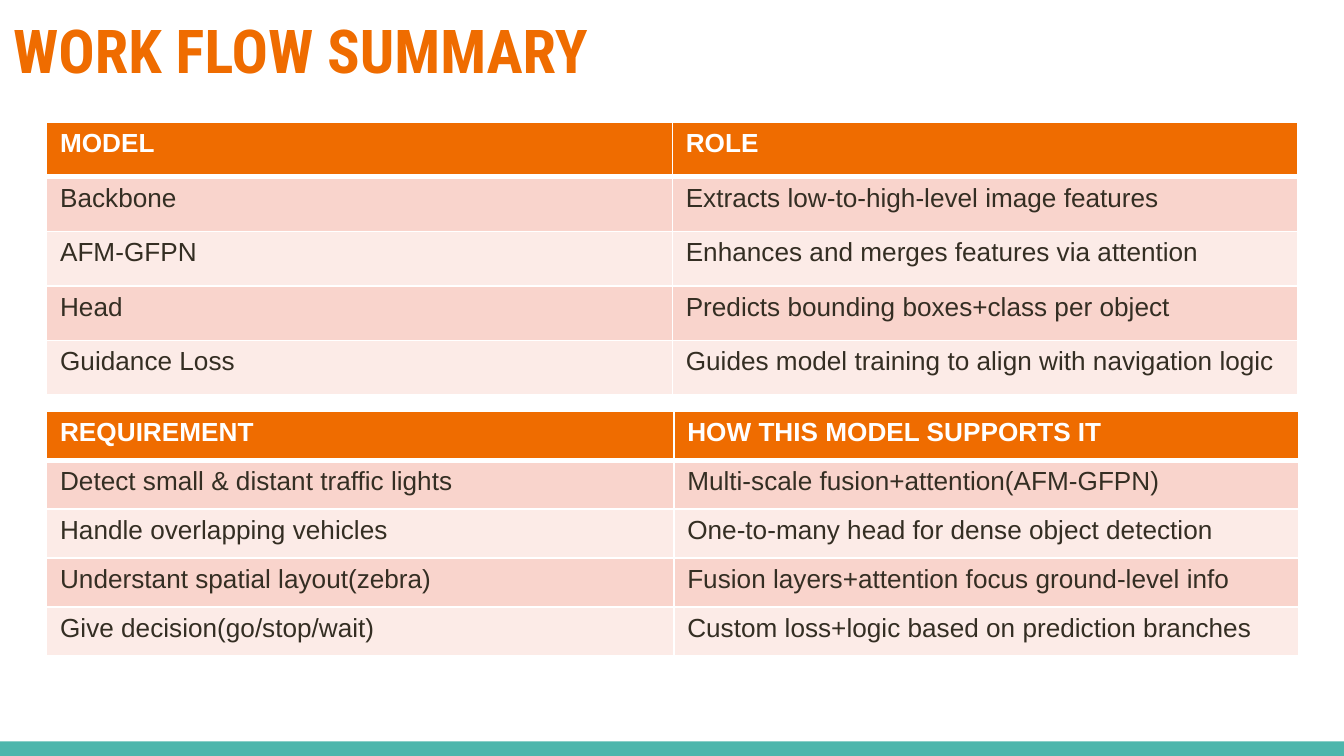
from dataclasses import dataclass

from lxml.etree import SubElement
from pptx import Presentation
from pptx.dml.color import RGBColor as RGB
from pptx.enum.shapes import MSO_SHAPE as Shape
from pptx.enum.text import MSO_ANCHOR as Anchor
from pptx.oxml.ns import qn
from pptx.slide import Slide
from pptx.table import _Cell as Cell
from pptx.util import Pt


@dataclass(frozen=True)
class Theme:
    accent: RGB = RGB(0xEF, 0x6C, 0x00)
    footer: RGB = RGB(0x4D, 0xB6, 0xAC)
    white: RGB = RGB(0xFF, 0xFF, 0xFF)
    ink: RGB = RGB(0x34, 0x2E, 0x23)
    bands: tuple[RGB, RGB] = (RGB(0xF9, 0xD4, 0xCC), RGB(0xFC, 0xEB, 0xE7))
    title_font: str = "Roboto Condensed"
    body_font: str = "Arial"
    title_size: float = 32.4
    body_size: float = 14


@dataclass(frozen=True)
class SummaryTable:
    top: float
    row_height: float
    col_widths: tuple[float, float]
    rows: list[tuple[str, str]]


THEME = Theme()
SLIDE_W, SLIDE_H = 720, 405
TABLE_LEFT = 25
FOOTER_H = 7.8

TABLES = [
    SummaryTable(220.4, 26.2, (336, 334.8), [
        ("REQUIREMENT", "HOW THIS MODEL SUPPORTS IT"),
        ("Detect small & distant traffic lights", "Multi-scale fusion+attention(AFM-GFPN)"),
        ("Handle overlapping vehicles", "One-to-many head for dense object detection"),
        ("Understant spatial layout(zebra)", "Fusion layers+attention focus ground-level info"),
        ("Give decision(go/stop/wait)", "Custom loss+logic based on prediction branches"),
    ]),
    SummaryTable(65.6, 29.2, (335.2, 335.2), [
        ("MODEL", "ROLE"),
        ("Backbone", "Extracts low-to-high-level image features"),
        ("AFM-GFPN", "Enhances and merges features via attention"),
        ("Head", "Predicts bounding boxes+class per object"),
        ("Guidance Loss", "Guides model training to align with navigation logic"),
    ]),
]


def set_borders(cell: Cell, top: float, bottom: float) -> None:
    """Draw white borders; they must precede the fill in the cell properties."""
    tc_pr = cell._tc.get_or_add_tcPr()
    for tag, width in (("a:lnL", 1), ("a:lnR", 1), ("a:lnT", top), ("a:lnB", bottom)):
        ln = SubElement(tc_pr, qn(tag), w=str(Pt(width)))
        fill = SubElement(ln, qn("a:solidFill"))
        SubElement(fill, qn("a:srgbClr"), val=str(THEME.white))


def style_cell(cell: Cell, text: str, row: int) -> None:
    header = row == 0
    set_borders(cell, top=3 if row == 1 else 1, bottom=3 if header else 1)
    cell.fill.solid()
    cell.fill.fore_color.rgb = THEME.accent if header else THEME.bands[(row - 1) % 2]
    cell.text = text
    font = cell.text_frame.paragraphs[0].font
    font.name, font.size, font.bold = THEME.body_font, Pt(THEME.body_size), header
    font.color.rgb = THEME.white if header else THEME.ink


def add_summary_table(s: Slide, spec: SummaryTable) -> None:
    n_rows = len(spec.rows)
    table = s.shapes.add_table(
        n_rows, len(spec.col_widths), Pt(TABLE_LEFT), Pt(spec.top),
        Pt(sum(spec.col_widths)), Pt(n_rows * spec.row_height)).table
    for column, width in zip(table.columns, spec.col_widths):
        column.width = Pt(width)
    for i, texts in enumerate(spec.rows):
        table.rows[i].height = Pt(spec.row_height)
        for j, text in enumerate(texts):
            style_cell(table.cell(i, j), text, i)


def add_title(s: Slide, text: str) -> None:
    tf = s.shapes.add_textbox(Pt(0), Pt(0), Pt(695.5), Pt(45.4)).text_frame
    tf.word_wrap = True
    tf.vertical_anchor = Anchor.TOP
    tf.margin_left = tf.margin_right = tf.margin_top = tf.margin_bottom = Pt(7.2)
    p = tf.paragraphs[0]
    p.text = text
    p.font.name, p.font.size, p.font.bold = THEME.title_font, Pt(THEME.title_size), True
    p.font.color.rgb = THEME.accent


def add_footer_bar(s: Slide) -> None:
    sp = s.shapes.add_shape(
        Shape.RECTANGLE, Pt(0), Pt(SLIDE_H - FOOTER_H), Pt(SLIDE_W), Pt(FOOTER_H))
    sp.shadow.inherit = False
    sp.fill.solid()
    sp.fill.fore_color.rgb = THEME.footer
    sp.line.fill.background()


def main() -> None:
    prs = Presentation()
    prs.slide_width, prs.slide_height = Pt(SLIDE_W), Pt(SLIDE_H)
    s = prs.slides.add_slide(prs.slide_layouts[6])
    add_footer_bar(s)
    add_title(s, "WORK FLOW SUMMARY")
    for spec in TABLES:
        add_summary_table(s, spec)
    prs.save("out.pptx")


if __name__ == "__main__":
    main()
